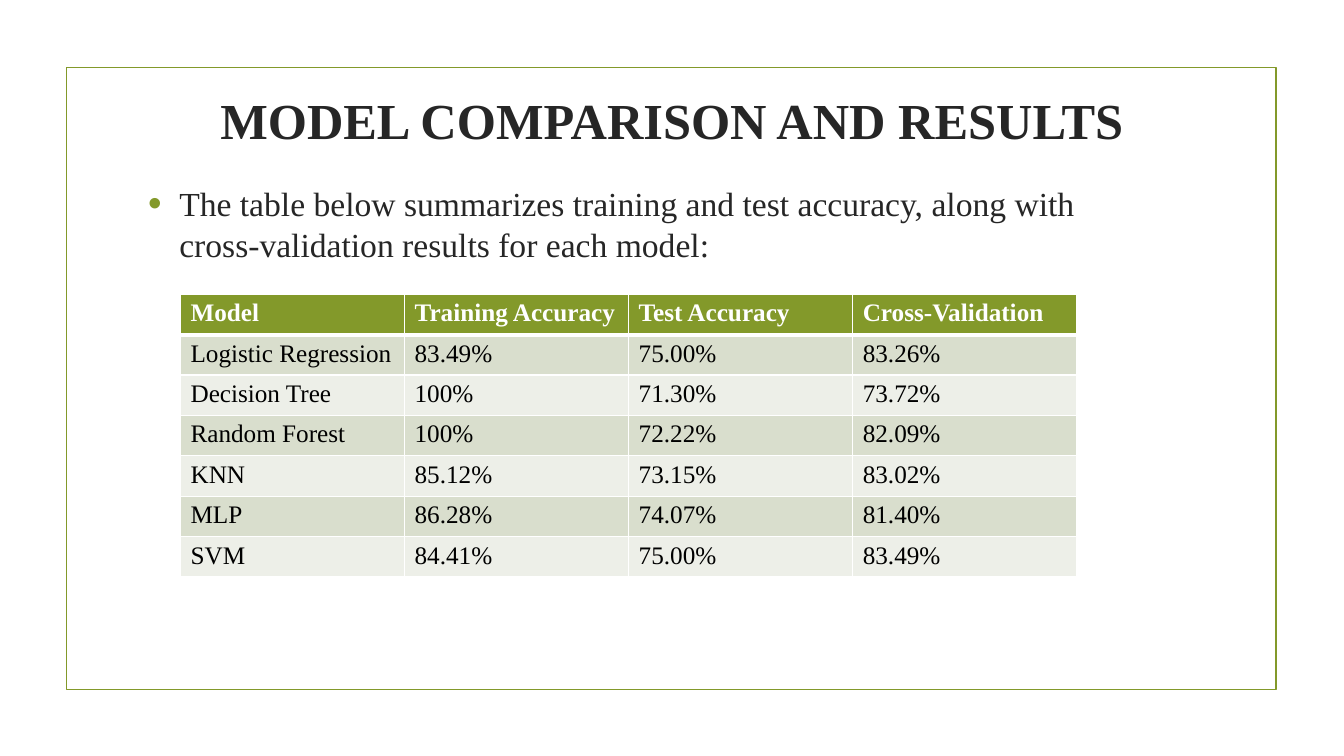
import dataclasses

import lxml.etree
import pptx
import pptx.dml.color
import pptx.enum.shapes
import pptx.enum.text
import pptx.oxml.ns
import pptx.util

Inches = pptx.util.Inches
Pt = pptx.util.Pt
qn = pptx.oxml.ns.qn

RESULTS = [
    ("Model", "Training Accuracy", "Test Accuracy", "Cross-Validation"),
    ("Logistic Regression", "83.49%", "75.00%", "83.26%"),
    ("Decision Tree", "100%", "71.30%", "73.72%"),
    ("Random Forest", "100%", "72.22%", "82.09%"),
    ("KNN", "85.12%", "73.15%", "83.02%"),
    ("MLP", "86.28%", "74.07%", "81.40%"),
    ("SVM", "84.41%", "75.00%", "83.49%"),
]


@dataclasses.dataclass(frozen=True)
class Theme:
    """Colours, font and type sizes of the slide."""

    font: str = "Times New Roman"
    accent: str = "83992A"
    ink: str = "262626"
    cell_ink: str = "000000"
    white: str = "FFFFFF"
    odd_band: str = "D9DECD"
    even_band: str = "EDEFE8"
    title_size: int = 36
    intro_size: int = 24
    table_size: int = 18


THEME = Theme()


def rgb(value):
    """Turn a hex string into a colour."""
    return pptx.dml.color.RGBColor.from_string(value)


def style_paragraph(paragraph, size, colour, bold=False):
    """Set the font of a whole paragraph."""
    font = paragraph.font
    font.name, font.size, font.bold = THEME.font, Pt(size), bold
    font.color.rgb = rgb(colour)


def add_frame(slide):
    """Draw the thin border around the content."""
    frame = slide.shapes.add_shape(
        pptx.enum.shapes.MSO_SHAPE.RECTANGLE,
        Inches(0.66), Inches(0.67), Inches(12), Inches(6.17),
    )
    frame.shadow.inherit = False
    frame.fill.background()
    frame.line.color.rgb = rgb(THEME.accent)
    frame.line.width = Pt(1.25)


def set_title(slide, text):
    """Place and format the title placeholder."""
    title = slide.shapes.title
    title.left, title.top = Inches(1.79), Inches(0.48)
    title.width, title.height = Inches(9.75), Inches(1.4)
    title.text_frame.text = text
    title.text_frame.vertical_anchor = pptx.enum.text.MSO_ANCHOR.MIDDLE
    heading = title.text_frame.paragraphs[0]
    heading.alignment = pptx.enum.text.PP_ALIGN.CENTER
    style_paragraph(heading, THEME.title_size, THEME.ink, bold=True)


def add_bullet(paragraph):
    """Give a paragraph a coloured hanging bullet."""
    properties = paragraph._p.get_or_add_pPr()
    properties.set("marL", str(Inches(0.31)))
    properties.set("indent", str(Inches(-0.31)))
    colour = lxml.etree.Element(qn("a:buClr"))
    lxml.etree.SubElement(colour, qn("a:srgbClr"), val=THEME.accent)
    size = lxml.etree.Element(qn("a:buSzPct"), val="115000")
    typeface = lxml.etree.Element(qn("a:buFont"), typeface="Arial")
    character = lxml.etree.Element(qn("a:buChar"), char="•")
    following = properties.find(qn("a:defRPr"))
    for part in (colour, size, typeface, character):
        if following is None:
            properties.append(part)
        else:
            following.addprevious(part)


def add_intro(slide, text):
    """Add the bulleted sentence above the table."""
    intro = slide.shapes.add_textbox(
        Inches(1.37), Inches(1.77), Inches(9.75), Inches(4.25)
    )
    intro.text_frame.word_wrap = True
    sentence = intro.text_frame.paragraphs[0]
    sentence.text = text
    sentence.space_before, sentence.space_after = Pt(4.8), Pt(6)
    style_paragraph(sentence, THEME.intro_size, THEME.ink)
    add_bullet(sentence)


def set_borders(cell, top, bottom):
    """Draw white cell borders with the given top and bottom widths."""
    properties = cell._tc.get_or_add_tcPr()
    widths = {"a:lnL": 1, "a:lnR": 1, "a:lnT": top, "a:lnB": bottom}
    for position, (tag, width) in enumerate(widths.items()):
        border = lxml.etree.Element(qn(tag), w=str(Pt(width)))
        fill = lxml.etree.SubElement(border, qn("a:solidFill"))
        lxml.etree.SubElement(fill, qn("a:srgbClr"), val=THEME.white)
        properties.insert(position, border)


def fill_cell(cell, text, row):
    """Write and colour one cell according to its row."""
    header = row == 0
    band = THEME.odd_band if row % 2 else THEME.even_band
    cell.text = text
    cell.fill.solid()
    cell.fill.fore_color.rgb = rgb(THEME.accent if header else band)
    style_paragraph(
        cell.text_frame.paragraphs[0], THEME.table_size,
        THEME.white if header else THEME.cell_ink, bold=header,
    )
    set_borders(cell, top=3 if row == 1 else 1, bottom=3 if header else 1)


def add_results(slide, rows):
    """Add the table of accuracies."""
    row_height = Inches(0.37)
    results = slide.shapes.add_table(
        len(rows), len(rows[0]), Inches(1.79), Inches(2.92),
        Inches(8.89), row_height * len(rows),
    ).table
    for row, values in enumerate(rows):
        results.rows[row].height = row_height
        for column, value in enumerate(values):
            fill_cell(results.cell(row, column), value, row)


def main():
    """Build the slide and save it."""
    deck = pptx.Presentation()
    deck.slide_width, deck.slide_height = Inches(13.33), Inches(7.5)
    slide = deck.slides.add_slide(deck.slide_layouts.get_by_name("Title Only"))
    add_frame(slide)
    set_title(slide, "MODEL COMPARISON AND RESULTS")
    add_intro(
        slide,
        "The table below summarizes training and test accuracy, "
        "along with cross-validation results for each model:",
    )
    add_results(slide, RESULTS)
    deck.save("out.pptx")


if __name__ == "__main__":
    main()
